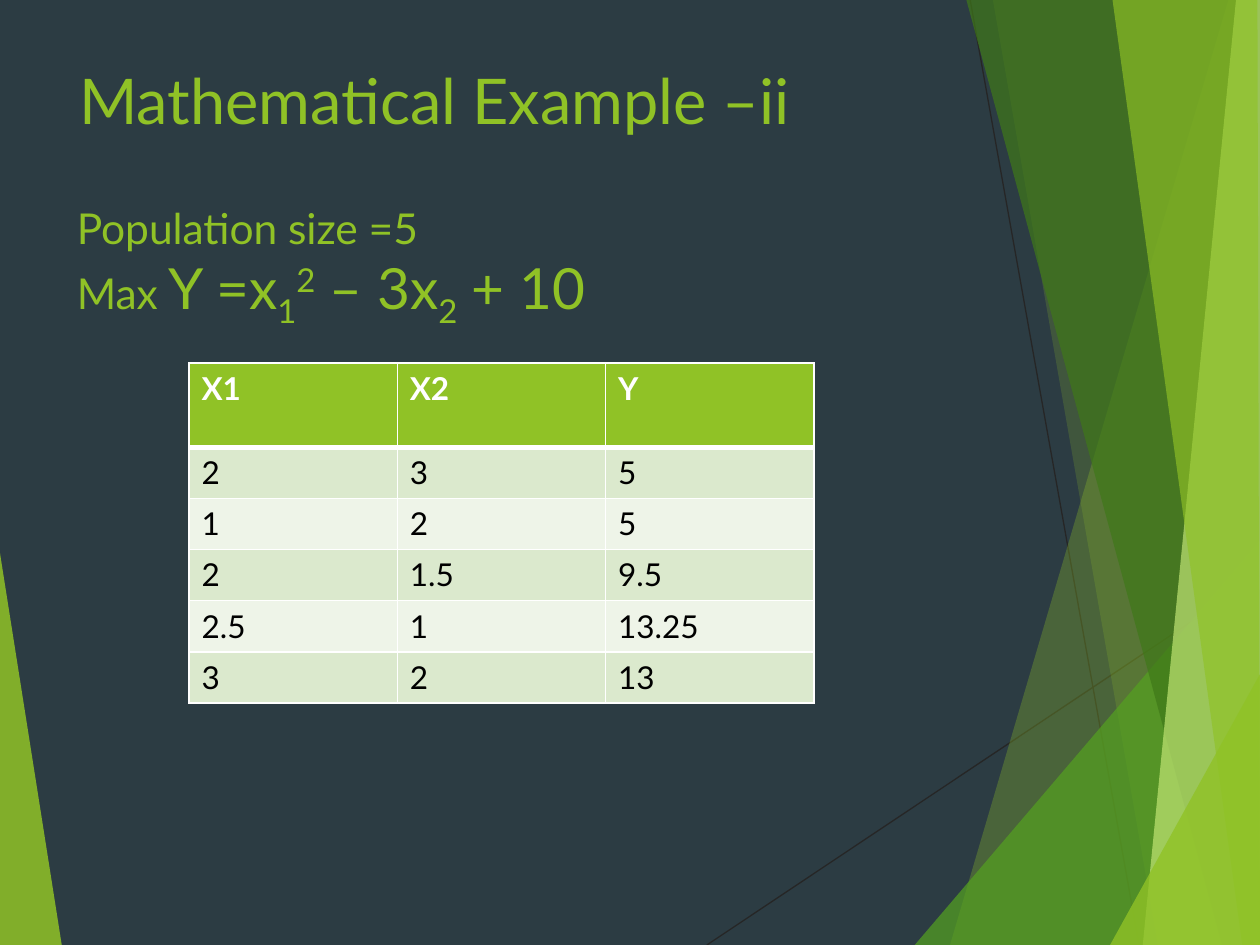
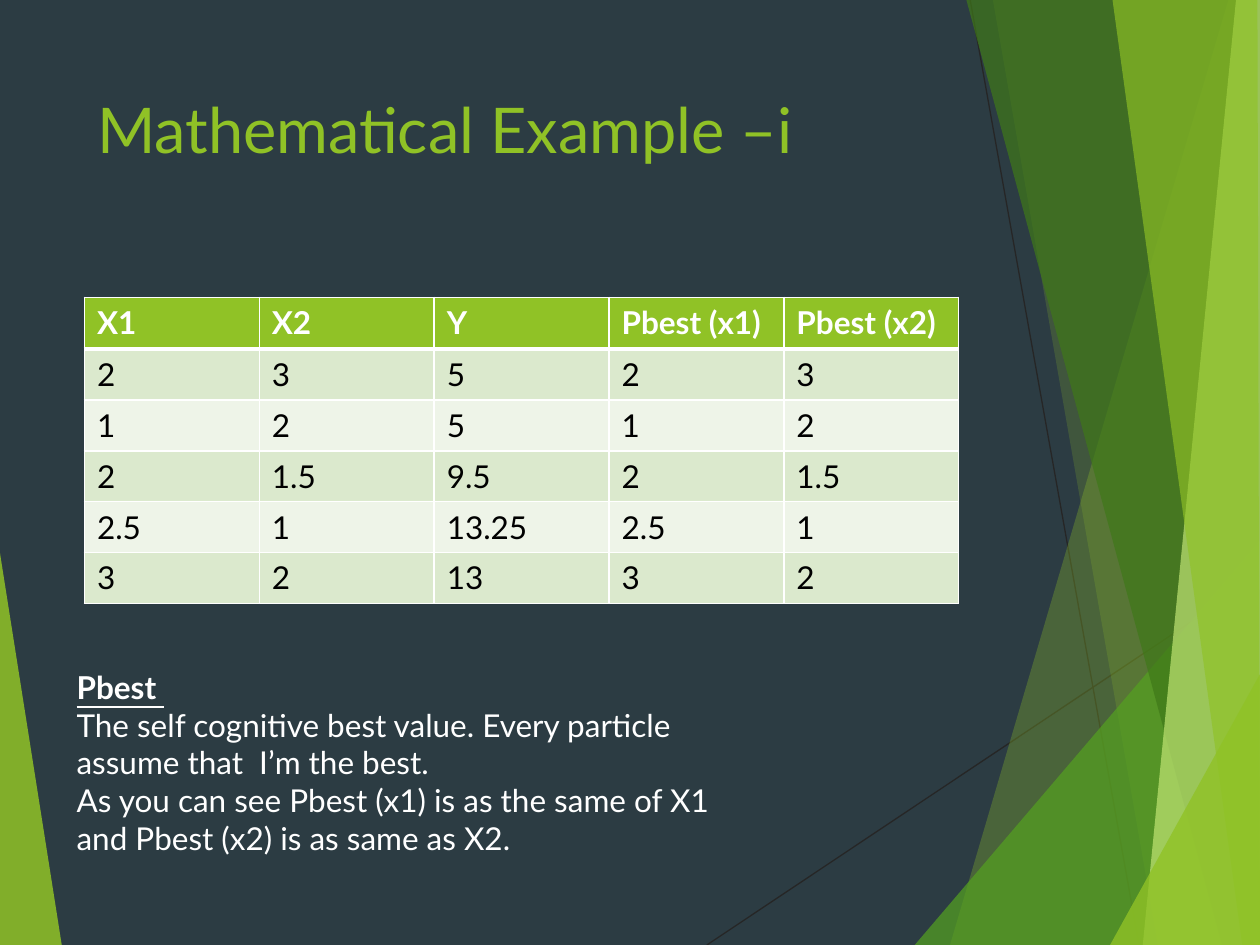
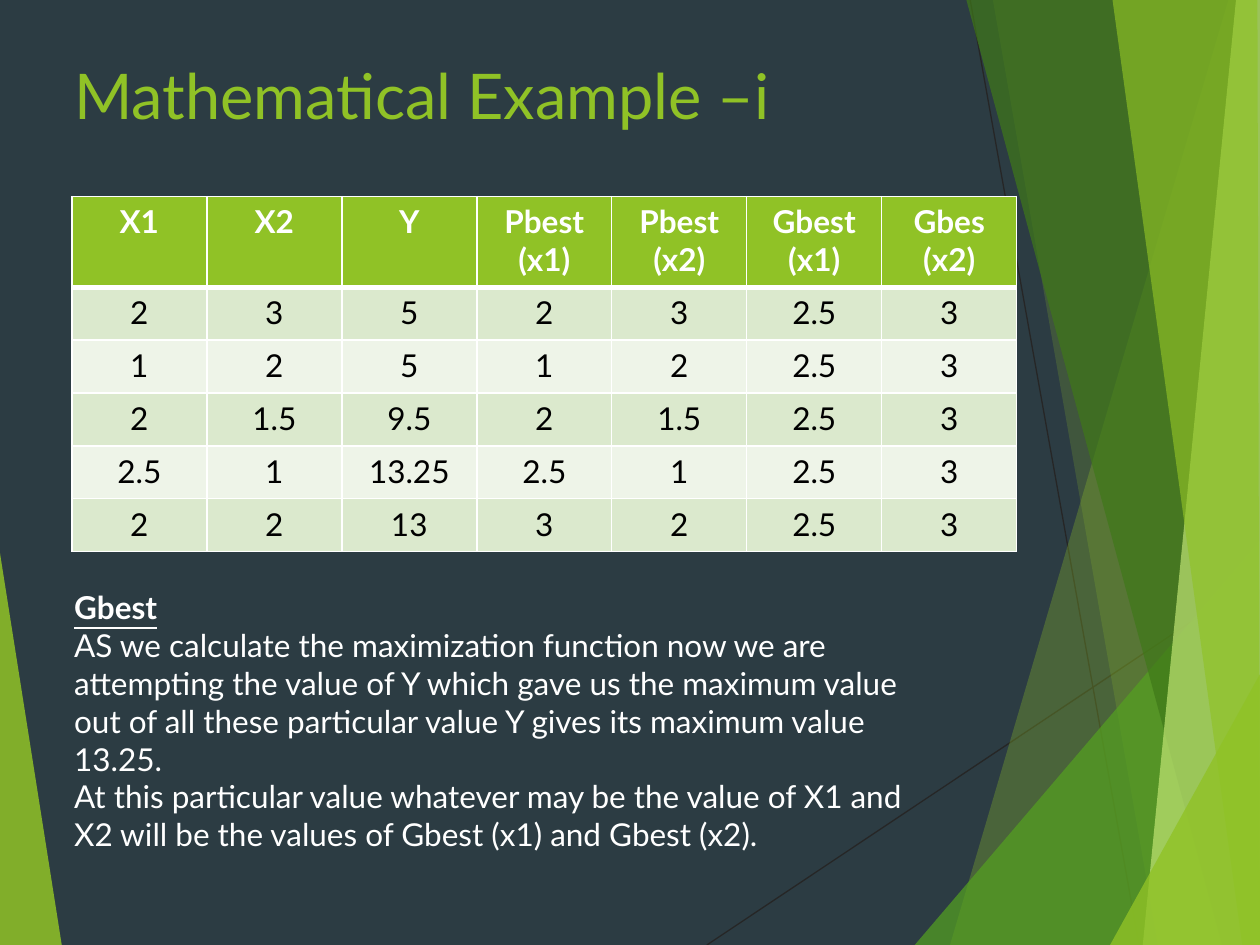
from lxml.etree import SubElement
from pptx import Presentation
from pptx.dml.color import RGBColor
from pptx.enum.shapes import MSO_CONNECTOR
from pptx.enum.text import MSO_ANCHOR, MSO_AUTO_SIZE, PP_ALIGN
from pptx.oxml.ns import qn
from pptx.util import Inches, Pt

W, H = 10, 7.5
FONT = "Lato"
COLORS = {
    "bg": "2C3C43", "lime": "90C226", "green": "54A021", "forest": "3F7819",
    "pale": "C0E474", "ray": "262626", "white": "FFFFFF", "black": "000000",
    "band_dark": "DBE9CD", "band_light": "EEF4E8",
}

RAYS = [((5.61, H), (W, 4.57)), ((7.7, 0), (9.04, H))]
FACETS = [
    ("lime", 85, [(0, 4.39), (0.49, H), (0, H)]),
    ("lime", 30, [(9.75, 0), (7.54, H), (W, H), (W, 0)]),
    ("lime", 20, [(7.88, 0), (9.19, H), (W, H), (W, 0)]),
    ("green", 72, [(7.26, H), (W, 4.29), (W, H)]),
    ("forest", 70, [(7.67, 0), (9.7, H), (W, H), (W, 0)]),
    ("pale", 70, [(9.81, 0), (9.07, H), (W, H), (W, 0)]),
    ("lime", 65, [(8.83, 0), (9.86, H), (W, H), (9.98, 0)]),
    ("lime", 80, [(8.81, H), (W, 5.35), (W, H)]),
]

FORMULA = [
    ("Population size =5 ", 24.3, 0), ("\n", 24.3, 0), ("Max ", 24.3, 0),
    ("Y =x", 32.4, 0), ("1", 32.4, -25), ("2", 32.4, 30), (" – 3x", 32.4, 0),
    ("2", 32.4, -25), (" + 10 ", 32.4, 0),
]

SLIDES = [
    {
        "title": FORMULA, "title_box": (0.51, 1.55, 6.94, 1.44),
        "heading": "Mathematical Example –ii", "heading_box": (0.53, 0.44, 6.2, 0.71),
        "table_box": (1.5, 2.88, 4.96, 2.7), "header_height": 0.67, "align": PP_ALIGN.LEFT,
        "rows": [
            ("X1", "X2", "Y"),
            ("2", "3", "5"),
            ("1", "2", "5"),
            ("2", "1.5", "9.5"),
            ("2.5", "1", "13.25"),
            ("3", "2", "13"),
        ],
    },
    {
        "title": [("Mathematical Example –i", 36, 0)], "title_box": (0.67, 0.67, 6.94, 1.44),
        "table_box": (0.67, 2.36, 6.94, 2.43), "header_height": 0.41, "align": PP_ALIGN.LEFT,
        "rows": [
            ("X1", "X2", "Y", "Pbest (x1)", "Pbest (x2)"),
            ("2", "3", "5", "2", "3"),
            ("1", "2", "5", "1", "2"),
            ("2", "1.5", "9.5", "2", "1.5"),
            ("2.5", "1", "13.25", "2.5", "1"),
            ("3", "2", "13", "3", "2"),
        ],
        "note_box": (0.51, 5.25, 5.44, 1.92),
        "note": [
            "Pbest ",
            "The self cognitive best value. Every particle assume that  I’m the best.",
            "As you can see Pbest (x1) is as the same of X1 and Pbest (x2) is as same as X2.",
        ],
    },
    {
        "title": [("Mathematical Example –i", 36, 0)], "title_box": (0.49, 0.4, 6.94, 0.91),
        "table_box": (0.57, 1.56, 7.5, 2.82), "header_height": 0.72, "align": PP_ALIGN.CENTER,
        "rows": [
            ("X1", "X2", "Y", "Pbest (x1)", "Pbest (x2)", "Gbest\n(x1)", "Gbes\n(x2)"),
            ("2", "3", "5", "2", "3", "2.5", "3"),
            ("1", "2", "5", "1", "2", "2.5", "3"),
            ("2", "1.5", "9.5", "2", "1.5", "2.5", "3"),
            ("2.5", "1", "13.25", "2.5", "1", "2.5", "3"),
            ("2", "2", "13", "3", "2", "2.5", "3"),
        ],
        "note_box": (0.49, 4.62, 7.03, 2.22),
        "note": [
            "Gbest",
            "AS we calculate the maximization function now we are attempting the value of Y "
            "which gave us the maximum value out of all these particular value Y gives its "
            "maximum value 13.25.",
            "At this particular value whatever may be the value of X1 and X2 will be the "
            "values of Gbest (x1) and Gbest (x2).",
        ],
    },
]


def rgb(name):
    return RGBColor.from_string(COLORS[name])


def inches(values):
    return [Inches(v) for v in values]


def style(r, size, color, bold=False, underline=False):
    r.font.name = FONT
    r.font.size = Pt(size)
    r.font.color.rgb = rgb(color)
    r.font.bold = bold
    r.font.underline = underline


def add_ray(s, start, end):
    line = s.shapes.add_connector(MSO_CONNECTOR.STRAIGHT, *inches(start + end))
    line.line.color.rgb = rgb("ray")
    line.line.width = Pt(0.75)
    SubElement(line._element.spPr, qn("a:effectLst"))
    return line


def add_facet(s, color, opacity, points):
    start, *rest = [inches(point) for point in points]
    builder = s.shapes.build_freeform(*start, scale=1.0)
    builder.add_line_segments(rest, close=True)
    sp = builder.convert_to_shape()
    sp.shadow.inherit = False
    sp.line.fill.background()
    sp.fill.solid()
    sp.fill.fore_color.rgb = rgb(color)
    clr = sp._element.spPr.find(qn("a:solidFill"))[0]
    SubElement(clr, qn("a:alpha"), val=str(opacity * 1000))
    return sp


def decorate_layout(s, layout):
    shapes = [add_ray(s, *ray) for ray in RAYS] + [add_facet(s, *facet) for facet in FACETS]
    for i, sp in enumerate(shapes):
        sp._element.xpath(".//p:cNvPr")[0].set("id", str(100 + i))
        layout.shapes._spTree.insert(2 + i, sp._element)


def add_title(s, parts, box):
    sp = s.shapes.title
    sp.left, sp.top, sp.width, sp.height = inches(box)
    tf = sp.text_frame
    tf.auto_size = MSO_AUTO_SIZE.NONE
    tf.vertical_anchor = MSO_ANCHOR.TOP
    p = tf.paragraphs[0]
    p.alignment = PP_ALIGN.LEFT
    for text, size, baseline in parts:
        if text == "\n":
            p.add_line_break()
            continue
        r = p.add_run()
        r.text = text
        style(r, size, "lime")
        if baseline:
            r.font._element.set("baseline", str(baseline * 1000))


def add_text(s, lines, box):
    tf = s.shapes.add_textbox(*inches(box)).text_frame
    tf.word_wrap = True
    tf.text = "\n".join(lines)
    return tf


def add_borders(cell, row):
    widths = {"L": 1, "R": 1, "T": 3 if row == 1 else 1, "B": 3 if row == 0 else 1}
    tc_pr = cell._tc.get_or_add_tcPr()
    for side, width in widths.items():
        ln = SubElement(tc_pr, qn("a:ln" + side), w=str(Pt(width)))
        SubElement(SubElement(ln, qn("a:solidFill")), qn("a:srgbClr"), val=COLORS["white"])


def add_grid(s, rows, box, header_height, align):
    table = s.shapes.add_table(len(rows), len(rows[0]), *inches(box)).table
    table.horz_banding = False
    for column in table.columns:
        column.width = Inches(box[2] / len(rows[0]))
    body_height = (box[3] - header_height) / (len(rows) - 1)
    for i, values in enumerate(rows):
        header = i == 0
        table.rows[i].height = Inches(header_height if header else body_height)
        fill = "lime" if header else "band_dark" if i % 2 else "band_light"
        for j, value in enumerate(values):
            cell = table.cell(i, j)
            add_borders(cell, i)
            cell.fill.solid()
            cell.fill.fore_color.rgb = rgb(fill)
            cell.text_frame.text = value
            for p in cell.text_frame.paragraphs:
                p.alignment = align
                style(p.runs[0], 18, "white" if header else "black", bold=header)


def main():
    prs = Presentation()
    prs.slide_width, prs.slide_height = Inches(W), Inches(H)
    fill = prs.slide_master.background.fill
    fill.solid()
    fill.fore_color.rgb = rgb("bg")
    layout = prs.slide_layouts.get_by_name("Title Only")
    for i, content in enumerate(SLIDES):
        s = prs.slides.add_slide(layout)
        if i == 0:
            decorate_layout(s, layout)
        add_title(s, content["title"], content["title_box"])
        add_grid(s, content["rows"], content["table_box"],
                 content["header_height"], content["align"])
        if "heading" in content:
            tf = add_text(s, [content["heading"]], content["heading_box"])
            style(tf.paragraphs[0].runs[0], 36, "lime")
        if "note" in content:
            tf = add_text(s, content["note"], content["note_box"])
            for k, p in enumerate(tf.paragraphs):
                style(p.runs[0], 18, "white", bold=k == 0, underline=k == 0)
    prs.save("out.pptx")


if __name__ == "__main__":
    main()
